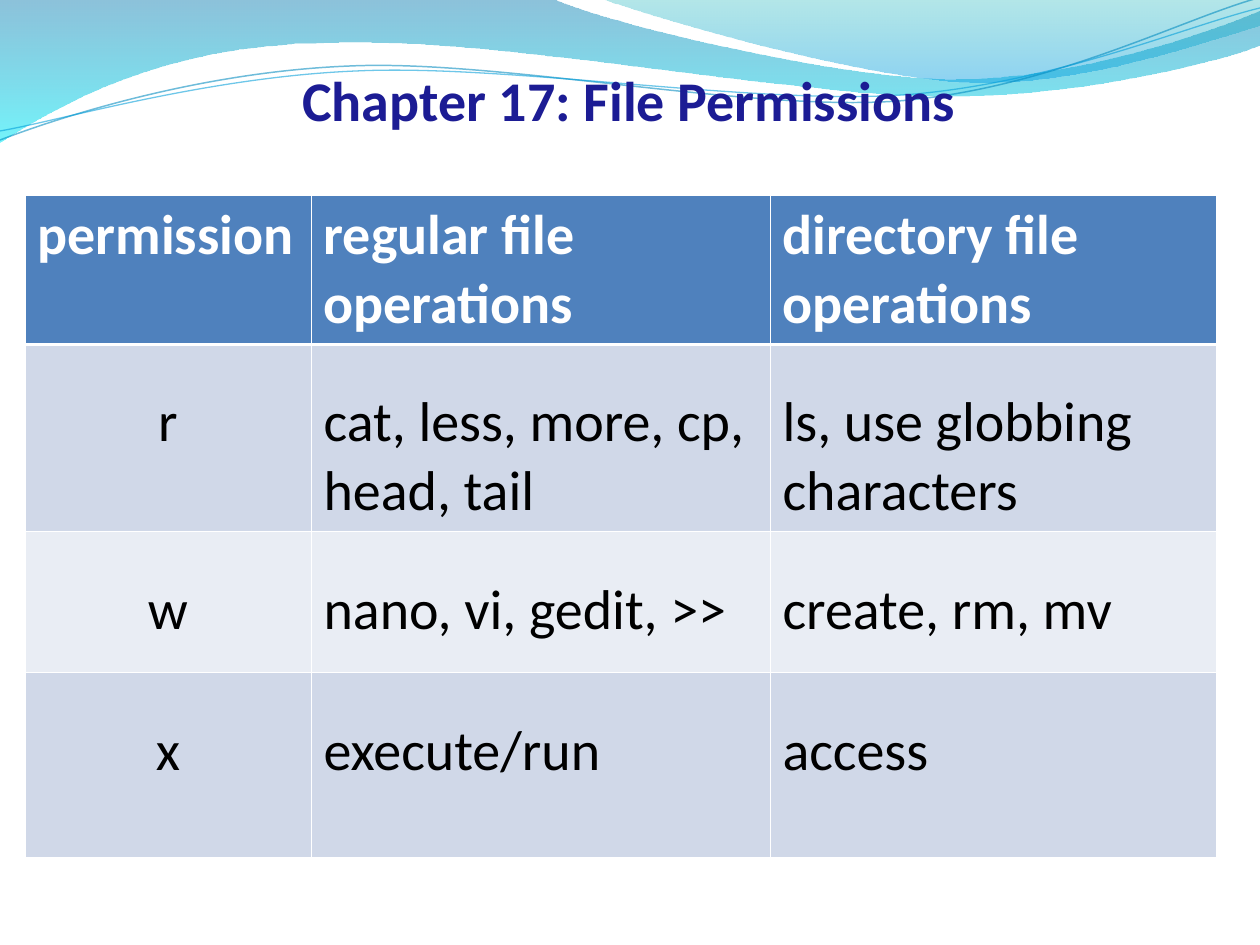
import lxml.etree
import pptx
import pptx.dml.color
import pptx.enum.text
import pptx.oxml.ns
import pptx.util

SCALE = pptx.util.Inches(1) / 126
ALIGN = pptx.enum.text.PP_ALIGN
ANCHOR = pptx.enum.text.MSO_ANCHOR


def emu(px):
    return pptx.util.Emu(round(px * SCALE))


def rgb(value):
    return pptx.dml.color.RGBColor.from_string(value)


def add_element(parent, tag, **attributes):
    name = pptx.oxml.ns.qn(tag)
    return lxml.etree.SubElement(parent, name, attributes)


def set_opacity(parent, percents):
    """Give each RGB colour inside parent its opacity, in order."""
    colors = parent.iter(pptx.oxml.ns.qn("a:srgbClr"))
    for color, percent in zip(list(colors), percents):
        add_element(color, "a:alpha", val=str(percent * 1000))


class SlideBuilder:
    font = "Calibri"
    size = 32
    title_color = "1C1C94"
    header_fill = "4F81BD"
    band_fills = ["D0D8E8", "E9EDF4"]
    border_color = "FFFFFF"
    thin, thick = 0.45, 1.47

    def __init__(self, presentation):
        self.slide = presentation.slides.add_slide(presentation.slide_layouts[5])

    def add_text(self, text_frame, text, color, bold, align):
        paragraph = text_frame.paragraphs[0]
        paragraph.alignment = align
        run = paragraph.add_run()
        run.text = text
        run.font.name = self.font
        run.font.size = pptx.util.Pt(self.size)
        run.font.bold = bold
        run.font.color.rgb = rgb(color)

    def title(self, text, left, top, width, height):
        shape = self.slide.shapes.title
        shape.left, shape.top = emu(left), emu(top)
        shape.width, shape.height = emu(width), emu(height)
        frame = shape.text_frame
        frame.auto_size = pptx.enum.text.MSO_AUTO_SIZE.NONE
        frame.word_wrap = True
        frame.vertical_anchor = ANCHOR.BOTTOM
        frame.margin_left = frame.margin_top = frame.margin_bottom = 0
        frame.margin_right = emu(2)
        self.add_text(frame, text, self.title_color, True, ALIGN.CENTER)
        # The title stands in front of the decoration.
        shape.element.getparent().append(shape.element)

    def curve(self, start, segments, close):
        """Draw an outline; a segment is one point (line) or three (Bezier)."""
        points = [(emu(x), emu(y)) for segment in segments for x, y in segment]
        builder = self.slide.shapes.build_freeform(emu(start[0]), emu(start[1]))
        builder.add_line_segments(points, close=close)
        shape = builder.convert_to_shape()
        shape.shadow.inherit = False
        lines = iter(shape.element.xpath(".//a:path/a:lnTo"))
        for segment in segments:
            line = next(lines)
            if len(segment) == 3:
                line.tag = pptx.oxml.ns.qn("a:cubicBezTo")
                for _ in range(2):
                    extra = next(lines)
                    line.append(extra[0])
                    extra.getparent().remove(extra)
        return shape

    def wave(self, start, segments, stops):
        """Draw a closed shape with a downward gradient of (colour, opacity)."""
        shape = self.curve(start, segments, True)
        shape.line.fill.background()
        shape.fill.gradient()
        shape.fill.gradient_angle = 270
        for position, (stop, (color, _)) in enumerate(
                zip(shape.fill.gradient_stops, stops)):
            stop.position = position
            stop.color.rgb = rgb(color)
        set_opacity(shape.element.spPr, [opacity for _, opacity in stops])

    def strand(self, start, segments, color, width, opacity):
        shape = self.curve(start, segments, False)
        shape.fill.background()
        shape.line.color.rgb = rgb(color)
        shape.line.width = pptx.util.Pt(width)
        set_opacity(shape.element.spPr, [opacity])

    def borders(self, cell, top, bottom):
        properties = cell._tc.get_or_add_tcPr()
        widths = {"L": self.thin, "R": self.thin, "T": top, "B": bottom}
        for side, width in widths.items():
            line = add_element(properties, f"a:ln{side}",
                               w=str(pptx.util.Pt(width)))
            fill = add_element(line, "a:solidFill")
            add_element(fill, "a:srgbClr", val=self.border_color)

    def table(self, rows, left, top, widths, heights, body_margin):
        frame = self.slide.shapes.add_table(
            len(rows), len(widths), emu(left), emu(top),
            emu(sum(widths)), emu(sum(heights)))
        table = frame.table
        table.first_row = table.horz_banding = False
        for column, width in zip(table.columns, widths):
            column.width = emu(width)
        for row, height in zip(table.rows, heights):
            row.height = emu(height)
        for i, texts in enumerate(rows):
            header = i == 0
            fill = self.header_fill if header else self.band_fills[(i - 1) % 2]
            for j, text in enumerate(texts):
                cell = table.cell(i, j)
                self.borders(cell, self.thick if i == 1 else self.thin,
                             self.thick if header else self.thin)
                cell.fill.solid()
                cell.fill.fore_color.rgb = rgb(fill)
                if not header:
                    cell.margin_top = emu(body_margin)
                centered = j == 0 and not header
                self.add_text(cell.text_frame, text,
                              "FFFFFF" if header else "000000", header,
                              ALIGN.CENTER if centered else ALIGN.LEFT)


def main():
    presentation = pptx.Presentation()
    presentation.slide_width = emu(1260)
    presentation.slide_height = emu(945)
    builder = SlideBuilder(presentation)

    builder.wave((0, 0), [
        [(555, 0)],
        [(600, 21), (837, 79), (955, 79)],
        [(1075, 79), (1207, 33), (1260, 11)],
        [(1260, 45)],
        [(1239, 55), (1096, 96), (940, 96)],
        [(784, 95), (481, 35), (324, 43)],
        [(163, 45), (58, 105), (0, 142)],
    ], [("0079AF", 45), ("00EBF8", 55)])
    builder.wave((604, 0), [
        [(641, 14), (859, 78), (969, 82)],
        [(1079, 87), (1211, 40), (1260, 26)],
        [(1260, 0)],
    ], [("00ADB6", 30), ("009BE5", 45)])
    builder.strand((0, 140), [
        [(60, 117), (199, 72), (349, 66)],
        [(498, 59), (747, 112), (898, 101)],
        [(1050, 89), (1182, 19), (1258, -2)],
    ], "008ABF", 0.85, 56)
    builder.strand((0, 131), [
        [(59, 121), (207, 77), (357, 71)],
        [(508, 64), (752, 105), (903, 95)],
        [(1053, 84), (1186, 26), (1260, 8)],
    ], "009DD9", 0.75, 56)

    builder.title("Chapter 17: File Permissions", 0, 35, 1260, 98)
    builder.table([
        ["permission", "regular file operations", "directory file operations"],
        ["r", "cat, less, more, cp, head, tail", "ls, use globbing characters"],
        ["w", "nano, vi, gedit, >>", "create, rm, mv"],
        ["x", "execute/run", "access"],
    ], 25, 195, [286, 459, 446], [148, 185, 141, 185], 44)

    presentation.save("out.pptx")


if __name__ == "__main__":
    main()
